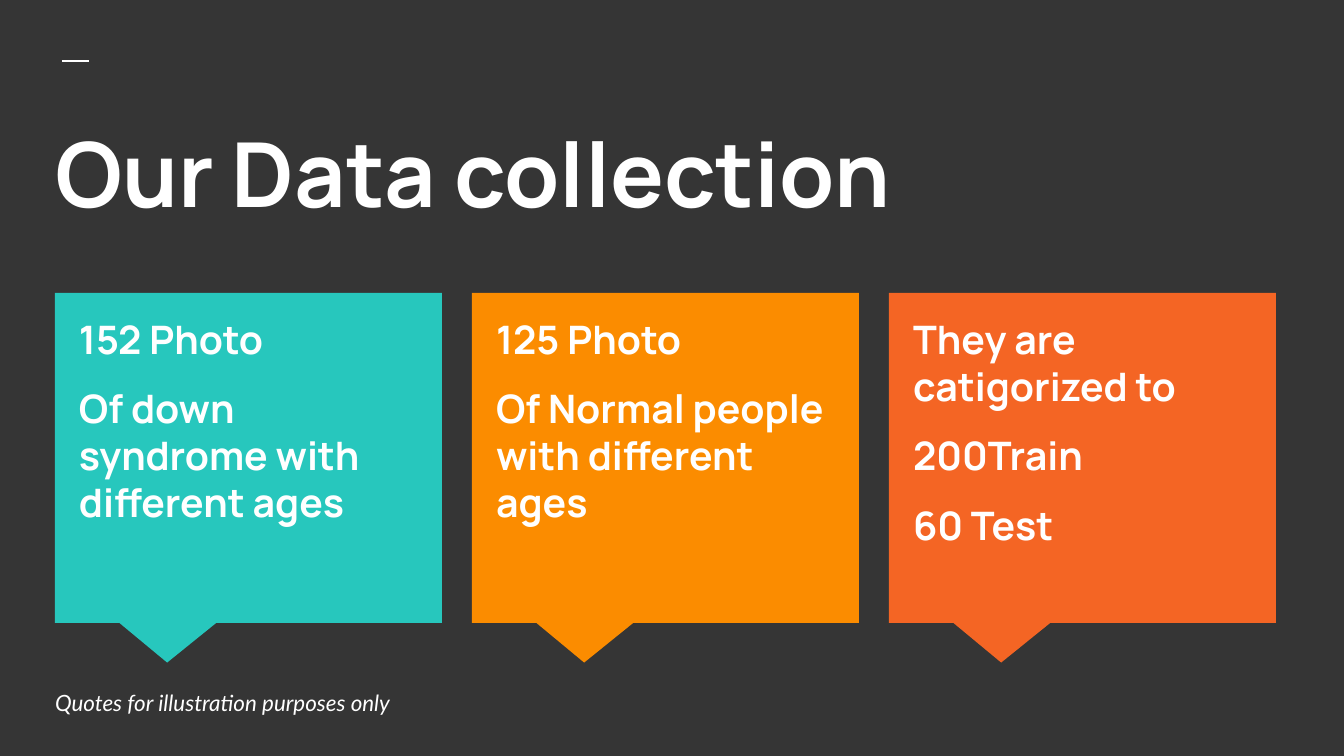
from lxml.etree import SubElement
from pptx import Presentation
from pptx.dml.color import RGBColor
from pptx.enum.shapes import MSO_CONNECTOR, MSO_SHAPE
from pptx.enum.text import MSO_ANCHOR, MSO_AUTO_SIZE, PP_ALIGN
from pptx.oxml.ns import qn
from pptx.util import Emu, Pt

COLORS = {
    "background": "353535",
    "text": "FFFFFF",
    "teal": "27C7BD",
    "amber": "FB8C00",
    "orange": "F46524",
}
TITLE = "Our Data collection"
CARDS = [
    ("teal", ["152 Photo", "Of down syndrome with different ages"]),
    ("amber", ["125 Photo", "Of Normal people with different ages"]),
    ("orange", ["They are catigorized to", "200Train", "60 Test"]),
]
FOOTNOTE = "Quotes for illustration purposes only"

CARD_LEFT, CARD_TOP, CARD_WIDTH, CARD_HEIGHT, CARD_GAP = 55, 293, 387, 330, 30
TEXT_INDENT, TEXT_TOP, TEXT_WIDTH, TEXT_HEIGHT = 11, 302, 364, 294
INSET = 13


def px(value):
    return Emu(round(value * 914400 / 134.4))


def color(name):
    return RGBColor.from_string(COLORS[name])


def place(shape, left, top, width, height):
    shape.left, shape.top = px(left), px(top)
    shape.width, shape.height = px(width), px(height)


def write(shape, lines, size, font_name="Manrope", bold=True, italic=False,
          anchor=MSO_ANCHOR.TOP):
    """Fill a shape with left-aligned paragraphs, 12 pt apart."""
    frame = shape.text_frame
    frame.word_wrap = True
    frame.auto_size = MSO_AUTO_SIZE.NONE
    frame.vertical_anchor = anchor
    frame.margin_left = frame.margin_right = px(INSET)
    frame.margin_top = frame.margin_bottom = px(INSET)
    for index, line in enumerate(lines):
        paragraph = frame.add_paragraph() if index else frame.paragraphs[0]
        paragraph.alignment = PP_ALIGN.LEFT
        paragraph.space_before = Pt(12 if index else 0)
        run = paragraph.add_run()
        run.text = line
        font = run.font
        font.name, font.size = font_name, Pt(size)
        font.bold, font.italic = bold, italic
        font.color.rgb = color("text")


def add_card(slide, left, fill, lines):
    callout = slide.shapes.add_shape(
        MSO_SHAPE.RECTANGULAR_CALLOUT,
        px(left), px(CARD_TOP), px(CARD_WIDTH), px(CARD_HEIGHT))
    callout.adjustments[0], callout.adjustments[1] = -0.21, 0.62
    callout.shadow.inherit = False
    callout.fill.solid()
    callout.fill.fore_color.rgb = color(fill)
    callout.line.fill.background()
    text_box = slide.shapes.add_textbox(
        px(left + TEXT_INDENT), px(TEXT_TOP), px(TEXT_WIDTH), px(TEXT_HEIGHT))
    write(text_box, lines, 21)


def main():
    presentation = Presentation()
    presentation.slide_width, presentation.slide_height = px(1344), px(756)
    slide = presentation.slides.add_slide(presentation.slide_layouts[5])
    slide.background.fill.solid()
    slide.background.fill.fore_color.rgb = color("background")

    dash = slide.shapes.add_connector(
        MSO_CONNECTOR.STRAIGHT, px(62), px(61), px(89), px(61))
    dash.line.color.rgb = color("text")
    dash.line.width = Pt(1.5)
    SubElement(dash.element.spPr, qn("a:effectLst"))

    title = slide.shapes.title
    place(title, 42, 105, 1267, 150)
    write(title, [TITLE], 48)

    for index, (fill, lines) in enumerate(CARDS):
        add_card(slide, CARD_LEFT + index * (CARD_WIDTH + CARD_GAP), fill, lines)

    footnote = slide.shapes.add_textbox(px(42), px(684), px(918), px(38))
    write(footnote, [FOOTNOTE], 12, "Lato", bold=False, italic=True,
          anchor=MSO_ANCHOR.MIDDLE)

    presentation.save("out.pptx")


if __name__ == "__main__":
    main()
